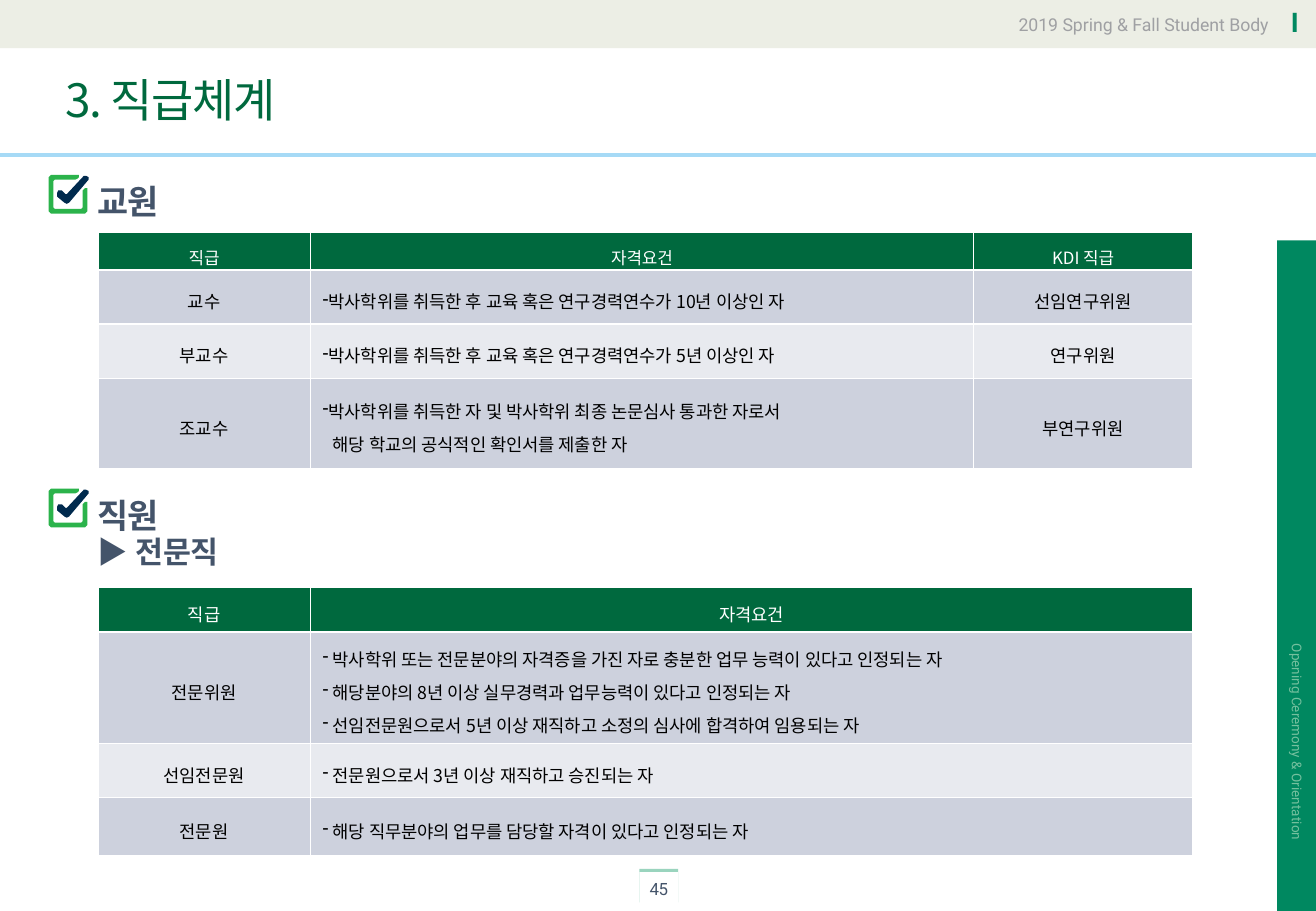
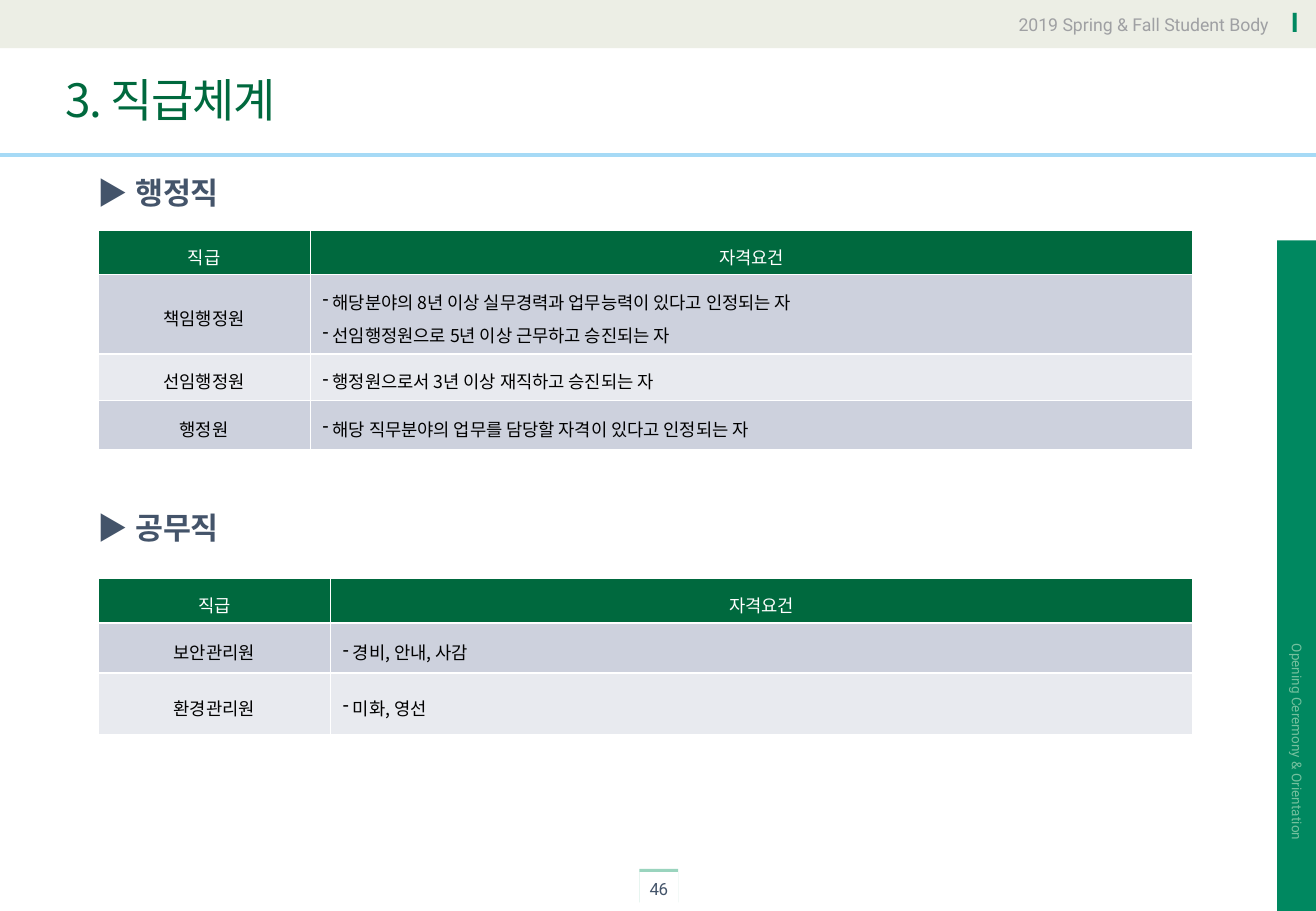
from lxml.etree import SubElement
from pptx import Presentation
from pptx.dml.color import RGBColor
from pptx.enum.shapes import MSO_CONNECTOR as Connector, MSO_SHAPE as Preset
from pptx.enum.text import MSO_ANCHOR as Anchor, PP_ALIGN as Align
from pptx.oxml.ns import qn
from pptx.util import Pt

WHITE = RGBColor(0xFF, 0xFF, 0xFF)
BLACK = RGBColor(0x00, 0x00, 0x00)
BAND = RGBColor(0xEC, 0xEE, 0xE5)
RULE = RGBColor(0xA6, 0xDA, 0xF6)
SIDE = RGBColor(0x00, 0x88, 0x60)
SIDE_TEXT = RGBColor(0x74, 0xC0, 0x9E)
SHADOW = RGBColor(0x03, 0x94, 0x5D)
GRAY = RGBColor(0x9F, 0xA0, 0xA3)
SLATE = RGBColor(0x44, 0x54, 0x6A)
DEEP_GREEN = RGBColor(0x00, 0x69, 0x3E)
CHECK_GREEN = RGBColor(0x2B, 0xB3, 0x4B)
CHECK_NAVY = RGBColor(0x00, 0x2A, 0x4E)
ROW_FILLS = RGBColor(0xCD, 0xD1, 0xDD), RGBColor(0xE8, 0xEA, 0xEF)

KOREAN, LATIN = "Noto Sans CJK KR", "Roboto"
WIDTH, HEIGHT = 780, 540
CONTENT_LEFT = 58
HUNDREDTH_INCH = Pt(0.72)

TITLE = {"name": KOREAN, "size": Pt(27.2), "color": DEEP_GREEN, "spacing": -0.9}
SECTION = {"name": KOREAN, "size": Pt(20), "color": SLATE, "bold": True, "spacing": -0.7}
SUBSECTION = {"name": KOREAN, "size": Pt(18), "color": SLATE, "bold": True}
HEADER = {"name": LATIN, "size": Pt(10.5), "color": GRAY}
MARK = {"name": LATIN, "size": Pt(16), "color": SIDE, "bold": True, "spacing": -2}
SIDE_LABEL = {"name": LATIN, "size": Pt(8), "color": SIDE_TEXT}
PAGE = {"name": LATIN, "size": Pt(10), "color": SLATE, "spacing": -0.2}
CELL = {"name": KOREAN, "size": Pt(10.5), "color": BLACK}
HEAD_CELL = {**CELL, "color": WHITE}

CHECK_BOX = [(28, 13), (30, 11), (32, 11), (32, 30), (30, 32), (2, 32), (0, 30),
             (0, 2), (2, 0), (25, 0), (25, 2), (24, 3), (22, 4), (5, 4), (4, 5),
             (4, 27), (5, 28), (27, 28), (28, 27), (28, 14)]
CHECK_TICK = [(17, 23), (33, 4), (33, 2), (31, 1), (29, 1), (15, 16), (14, 16),
              (11, 13), (8, 13), (7, 15), (7, 18), (13, 23), (15, 24)]


def write(paragraph, text, style):
    run = paragraph.add_run()
    run.text = text
    for name, value in style.items():
        if name == "color":
            run.font.color.rgb = value
        elif name == "spacing":
            run.font._element.set("spc", str(round(value * 100)))
        else:
            setattr(run.font, name, value)
    SubElement(run.font._element, qn("a:ea"), typeface=style["name"])


def add_text(slide, box, text, style, align=Align.LEFT, line_spacing=1.0,
             anchor=Anchor.TOP, margins=(0, 0, 0, 0), rotation=0):
    shape = slide.shapes.add_textbox(*map(Pt, box))
    shape.rotation = rotation
    frame = shape.text_frame
    frame.word_wrap = True
    frame.vertical_anchor = anchor
    for side, margin in zip(("left", "top", "right", "bottom"), margins):
        setattr(frame, f"margin_{side}", Pt(margin))
    paragraph = frame.paragraphs[0]
    paragraph.alignment = align
    paragraph.line_spacing = line_spacing
    write(paragraph, text, style)


def paint(shape, color):
    shape.fill.solid()
    shape.fill.fore_color.rgb = color
    shape.line.fill.background()
    shape.shadow.inherit = False


def add_rectangle(slide, box, color):
    shape = slide.shapes.add_shape(Preset.RECTANGLE, *map(Pt, box))
    paint(shape, color)
    return shape


def add_page_number(slide, box, number):
    shape = add_rectangle(slide, box, WHITE)
    effects = shape._element.spPr.find(qn("a:effectLst"))
    shadow = SubElement(effects, qn("a:outerShdw"), blurRad="0", dist=str(Pt(2)),
                        dir="16200000", algn="b", rotWithShape="0")
    color = SubElement(shadow, qn("a:srgbClr"), val=str(SHADOW))
    SubElement(color, qn("a:alpha"), val="40000")
    frame = shape.text_frame
    frame.word_wrap = False
    frame.vertical_anchor = Anchor.MIDDLE
    paragraph = frame.paragraphs[0]
    paragraph.alignment = Align.CENTER
    write(paragraph, str(number), PAGE)


def add_frame(presentation, number):
    slide = presentation.slides.add_slide(presentation.slide_layouts[6])
    add_rectangle(slide, (0, 0, WIDTH, 28.5), BAND)
    rule = slide.shapes.add_connector(Connector.STRAIGHT, 0, Pt(92), Pt(WIDTH), Pt(92))
    rule.line.color.rgb = RULE
    rule.line.width = Pt(2.25)
    SubElement(rule._element.spPr, qn("a:effectLst"))
    add_rectangle(slide, (757, 142.5, WIDTH - 757, HEIGHT - 142.5), SIDE)
    add_text(slide, (507, 7.9, 245, 13), "2019 Spring & Fall Student Body", HEADER, Align.RIGHT)
    add_page_number(slide, (379, 517, 23, 20), number)
    add_text(slide, (702.7, 430.6, 131.8, 17.3), "Opening Ceremony & Orientation", SIDE_LABEL,
             Align.RIGHT, margins=(0, 3.6, 7.2, 3.6), rotation=90)
    add_text(slide, (757, 3.6, 21, 19.4), "I", MARK, Align.CENTER)
    add_text(slide, (31.7, 39.6, 720, 42.5), "3. 직급체계", TITLE, line_spacing=0.9,
             anchor=Anchor.MIDDLE, margins=(7.2, 3.6, 7.2, 3.6))
    return slide


def add_section(slide, top, text):
    group = slide.shapes.add_group_shape()
    for points, color in ((CHECK_BOX, CHECK_GREEN), (CHECK_TICK, CHECK_NAVY)):
        builder = group.shapes.build_freeform(*points[0], scale=HUNDREDTH_INCH)
        builder.add_line_segments(points[1:], close=True)
        paint(builder.convert_to_shape(Pt(28.8), Pt(top + 3.6)), color)
    add_text(slide, (CONTENT_LEFT, top, 120, 32), text, SECTION, line_spacing=1.3)


def add_subsection(slide, top, text):
    add_text(slide, (CONTENT_LEFT, top, 133, 25), f"▶ {text}", SUBSECTION)


def fill_cell(cell, text, style, fill, align, hanging):
    properties = cell._tc.get_or_add_tcPr()
    for edge in ("lnL", "lnR", "lnT", "lnB"):
        line = SubElement(properties, qn(f"a:{edge}"), w=str(Pt(1)))
        SubElement(SubElement(line, qn("a:solidFill")), qn("a:srgbClr"), val=str(WHITE))
    cell.fill.solid()
    cell.fill.fore_color.rgb = fill
    frame = cell.text_frame
    for index, line in enumerate(text.split("\n")):
        paragraph = frame.add_paragraph() if index else frame.paragraphs[0]
        if align == Align.LEFT:
            bulleted = line.startswith("-")
            layout = paragraph._p.get_or_add_pPr()
            layout.set("marL", str(Pt(hanging if bulleted else 6)))
            layout.set("indent", str(Pt(-hanging if bulleted else 0)))
            if bulleted:
                SubElement(layout, qn("a:buChar"), char="-")
        paragraph.alignment = align
        paragraph.line_spacing = 1.3
        write(paragraph, line.removeprefix("-"), style)


def add_rank_table(slide, top, widths, heights, rows, hanging=6, head_size=10.5):
    shape = slide.shapes.add_table(len(rows), len(widths), Pt(CONTENT_LEFT), Pt(top),
                                   Pt(sum(widths)), Pt(sum(heights)))
    table = shape.table
    table.first_row = table.horz_banding = False
    for column, width in zip(table.columns, widths):
        column.width = Pt(width)
    for index, (row, height, texts) in enumerate(zip(table.rows, heights, rows)):
        row.height = Pt(height)
        for position, (cell, text) in enumerate(zip(row.cells, texts)):
            if index == 0:
                cell.margin_bottom = 0
                style, fill = {**HEAD_CELL, "size": Pt(head_size)}, DEEP_GREEN
            else:
                cell.vertical_anchor = Anchor.MIDDLE
                style, fill = CELL, ROW_FILLS[(index - 1) % 2]
            align = Align.LEFT if index and position == 1 else Align.CENTER
            fill_cell(cell, text, style, fill, align, hanging)


def build_faculty_slide(presentation):
    slide = add_frame(presentation, 45)
    add_section(slide, 100, "교원")
    add_rank_table(slide, 137.5, (126, 393, 130), (22.5, 32.2, 32.2, 53.6), [
        ("직급", "자격요건", "KDI 직급"),
        ("교수", "-박사학위를 취득한 후 교육 혹은 연구경력연수가 10년 이상인 자", "선임연구위원"),
        ("부교수", "-박사학위를 취득한 후 교육 혹은 연구경력연수가 5년 이상인 자", "연구위원"),
        ("조교수", "-박사학위를 취득한 자 및 박사학위 최종 논문심사 통과한 자로서\n"
                "해당 학교의 공식적인 확인서를 제출한 자", "부연구위원"),
    ], hanging=3.6, head_size=10)
    add_section(slide, 286, "직원")
    add_subsection(slide, 316, "전문직")
    add_rank_table(slide, 348.4, (126, 523), (26.2, 66.3, 31.7, 34.7), [
        ("직급", "자격요건"),
        ("전문위원", "-박사학위 또는 전문분야의 자격증을 가진 자로 충분한 업무 능력이 있다고 인정되는 자\n"
                 "-해당분야의 8년 이상 실무경력과 업무능력이 있다고 인정되는 자\n"
                 "-선임전문원으로서 5년 이상 재직하고 소정의 심사에 합격하여 임용되는 자"),
        ("선임전문원", "-전문원으로서 3년 이상 재직하고 승진되는 자"),
        ("전문원", "-해당 직무분야의 업무를 담당할 자격이 있다고 인정되는 자"),
    ])


def build_staff_slide(presentation):
    slide = add_frame(presentation, 46)
    add_subsection(slide, 103.5, "행정직")
    add_rank_table(slide, 136.3, (126, 523), (26.4, 47.3, 27.3, 29.3), [
        ("직급", "자격요건"),
        ("책임행정원", "-해당분야의 8년 이상 실무경력과 업무능력이 있다고 인정되는 자\n"
                  "-선임행정원으로 5년 이상 근무하고 승진되는 자"),
        ("선임행정원", "-행정원으로서 3년 이상 재직하고 승진되는 자"),
        ("행정원", "-해당 직무분야의 업무를 담당할 자격이 있다고 인정되는 자"),
    ])
    add_subsection(slide, 302, "공무직")
    add_rank_table(slide, 343, (138, 511), (26.4, 29.6, 36.6), [
        ("직급", "자격요건"),
        ("보안관리원", "-경비, 안내, 사감"),
        ("환경관리원", "-미화, 영선"),
    ])


def main():
    presentation = Presentation()
    presentation.slide_width, presentation.slide_height = Pt(WIDTH), Pt(HEIGHT)
    build_faculty_slide(presentation)
    build_staff_slide(presentation)
    presentation.save("out.pptx")


if __name__ == "__main__":
    main()
